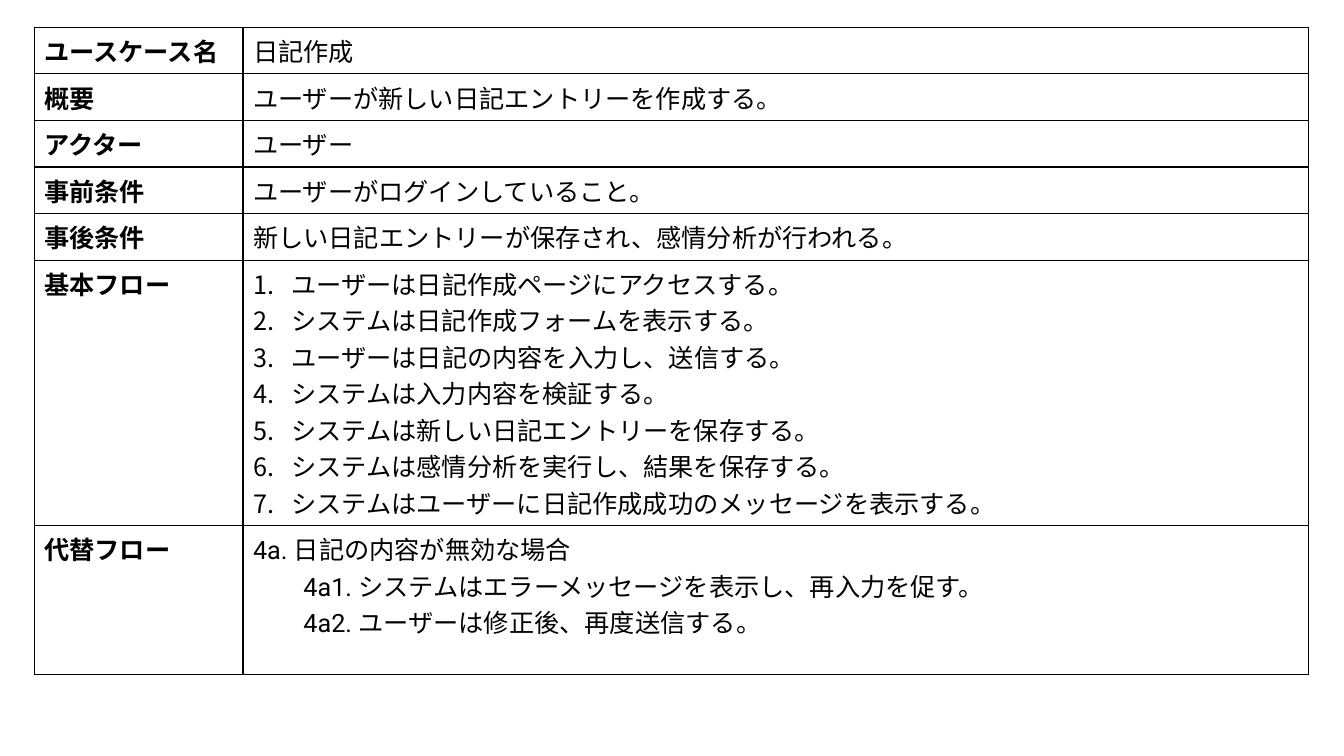
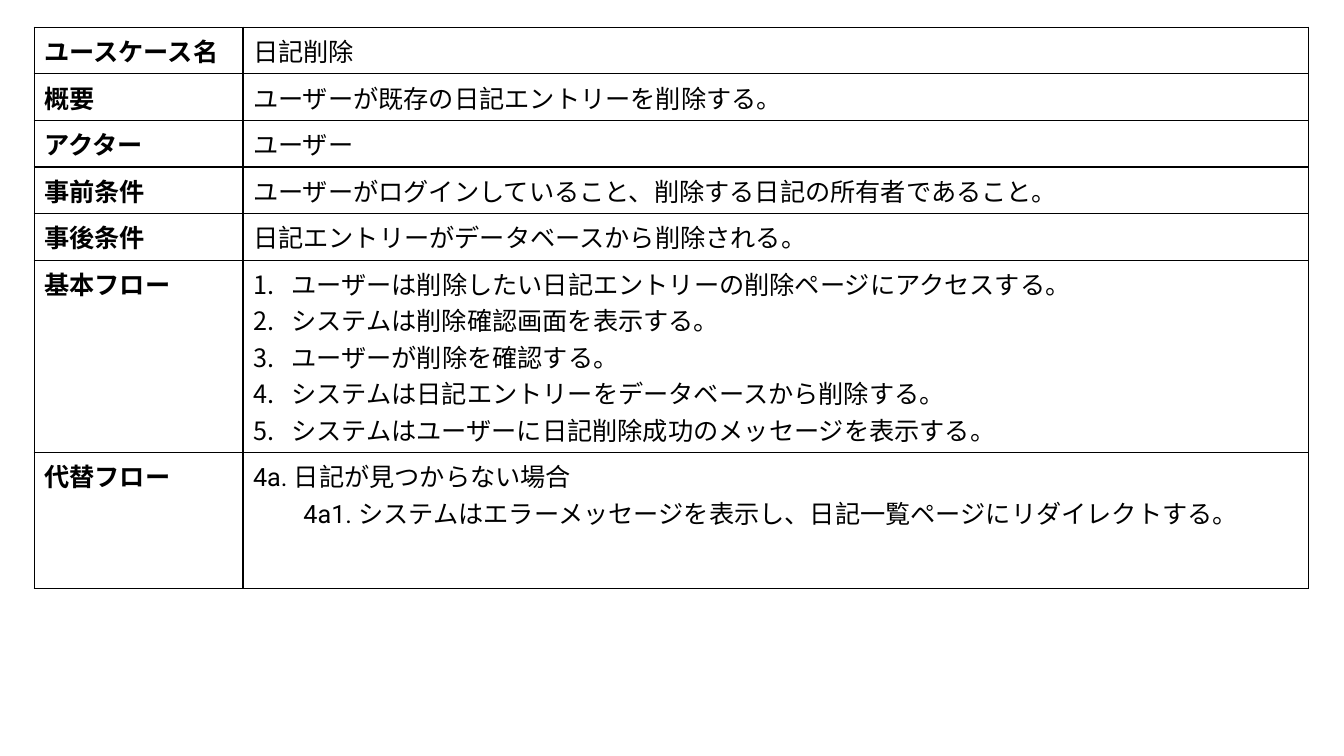
from dataclasses import dataclass

from lxml import etree
from pptx import Presentation
from pptx.dml.color import RGBColor
from pptx.oxml import ns
from pptx.util import Inches, Pt

COLORS = {"ink": "000000"}
FONT = "Roboto"
FONT_SIZE = Pt(18)
LEFT, TOP = 0.34, 0.27
COLUMN_WIDTHS = (2.07, 10.57)
ROW_HEIGHT = 0.46
LINE_HEIGHT = 0.36
CELL_PADDING = 0.1
NUMBER_INDENT = 0.38
SUBSTEP_INDENT = 0.5
BORDER = Pt(1)


@dataclass(frozen=True)
class Line:
    text: str
    indent: float = 0
    numbered: bool = False


@dataclass(frozen=True)
class UseCase:
    name: str
    summary: str
    actor: str
    precondition: str
    postcondition: str
    steps: tuple[str, ...]
    alternative: str
    substeps: tuple[str, ...]
    alternative_height: float


@dataclass(frozen=True)
class Row:
    label: str
    lines: list[Line]
    height: float = ROW_HEIGHT


USE_CASES = (
    UseCase(
        name="日記作成",
        summary="ユーザーが新しい日記エントリーを作成する。",
        actor="ユーザー",
        precondition="ユーザーがログインしていること。",
        postcondition="新しい日記エントリーが保存され、感情分析が行われる。",
        steps=(
            "ユーザーは日記作成ページにアクセスする。",
            "システムは日記作成フォームを表示する。",
            "ユーザーは日記の内容を入力し、送信する。",
            "システムは入力内容を検証する。",
            "システムは新しい日記エントリーを保存する。",
            "システムは感情分析を実行し、結果を保存する。",
            "システムはユーザーに日記作成成功のメッセージを表示する。",
        ),
        alternative="4a. 日記の内容が無効な場合",
        substeps=(
            "4a1. システムはエラーメッセージを表示し、再入力を促す。",
            "4a2. ユーザーは修正後、再度送信する。",
        ),
        alternative_height=1.48,
    ),
    UseCase(
        name="日記削除",
        summary="ユーザーが既存の日記エントリーを削除する。",
        actor="ユーザー",
        precondition="ユーザーがログインしていること、削除する日記の所有者であること。",
        postcondition="日記エントリーがデータベースから削除される。",
        steps=(
            "ユーザーは削除したい日記エントリーの削除ページにアクセスする。",
            "システムは削除確認画面を表示する。",
            "ユーザーが削除を確認する。",
            "システムは日記エントリーをデータベースから削除する。",
            "システムはユーザーに日記削除成功のメッセージを表示する。",
        ),
        alternative="4a. 日記が見つからない場合",
        substeps=("4a1. システムはエラーメッセージを表示し、日記一覧ページにリダイレクトする。",),
        alternative_height=1.35,
    ),
)


def table_rows(case: UseCase) -> list[Row]:
    steps = [Line(step, NUMBER_INDENT, numbered=True) for step in case.steps]
    substeps = [Line(substep, SUBSTEP_INDENT) for substep in case.substeps]
    return [
        Row("ユースケース名", [Line(case.name)]),
        Row("概要", [Line(case.summary)]),
        Row("アクター", [Line(case.actor)]),
        Row("事前条件", [Line(case.precondition)]),
        Row("事後条件", [Line(case.postcondition)]),
        Row("基本フロー", steps, CELL_PADDING + LINE_HEIGHT * len(steps)),
        Row("代替フロー", [Line(case.alternative), *substeps], case.alternative_height),
    ]


def set_borders(cell) -> None:
    properties = cell._tc.get_or_add_tcPr()
    for position, side in enumerate("LRTB"):
        border = etree.Element(ns.qn(f"a:ln{side}"), w=str(BORDER))
        fill = etree.SubElement(border, ns.qn("a:solidFill"))
        etree.SubElement(fill, ns.qn("a:srgbClr"), val=COLORS["ink"])
        properties.insert(position, border)


def set_indent(para, line: Line) -> None:
    properties = para._p.get_or_add_pPr()
    properties.set("marL", str(Inches(line.indent)))
    if line.numbered:
        properties.set("indent", str(-Inches(line.indent)))
        number = etree.Element(ns.qn("a:buAutoNum"), type="arabicPeriod")
        properties.insert_element_before(number, "a:tabLst", "a:defRPr", "a:extLst")


def fill_cell(cell, lines: list[Line], bold: bool = False) -> None:
    cell.fill.background()
    set_borders(cell)
    frame = cell.text_frame
    for index, line in enumerate(lines):
        para = frame.add_paragraph() if index else frame.paragraphs[0]
        para.text = line.text
        para.font.name = FONT
        para.font.size = FONT_SIZE
        para.font.bold = bold
        para.font.color.rgb = RGBColor.from_string(COLORS["ink"])
        if line.indent:
            set_indent(para, line)


def add_use_case(deck, case: UseCase) -> None:
    page = deck.slides.add_slide(deck.slide_layouts[6])
    rows = table_rows(case)
    table = page.shapes.add_table(
        len(rows), len(COLUMN_WIDTHS), Inches(LEFT), Inches(TOP),
        Inches(sum(COLUMN_WIDTHS)), Inches(sum(row.height for row in rows)),
    ).table
    table.first_row = table.horz_banding = False
    for column, width in zip(table.columns, COLUMN_WIDTHS):
        column.width = Inches(width)
    for index, row in enumerate(rows):
        table.rows[index].height = Inches(row.height)
        fill_cell(table.cell(index, 0), [Line(row.label)], bold=True)
        fill_cell(table.cell(index, 1), row.lines)


def main() -> None:
    deck = Presentation()
    deck.slide_width, deck.slide_height = Inches(13.33), Inches(7.5)
    for case in USE_CASES:
        add_use_case(deck, case)
    deck.save("out.pptx")


if __name__ == "__main__":
    main()
